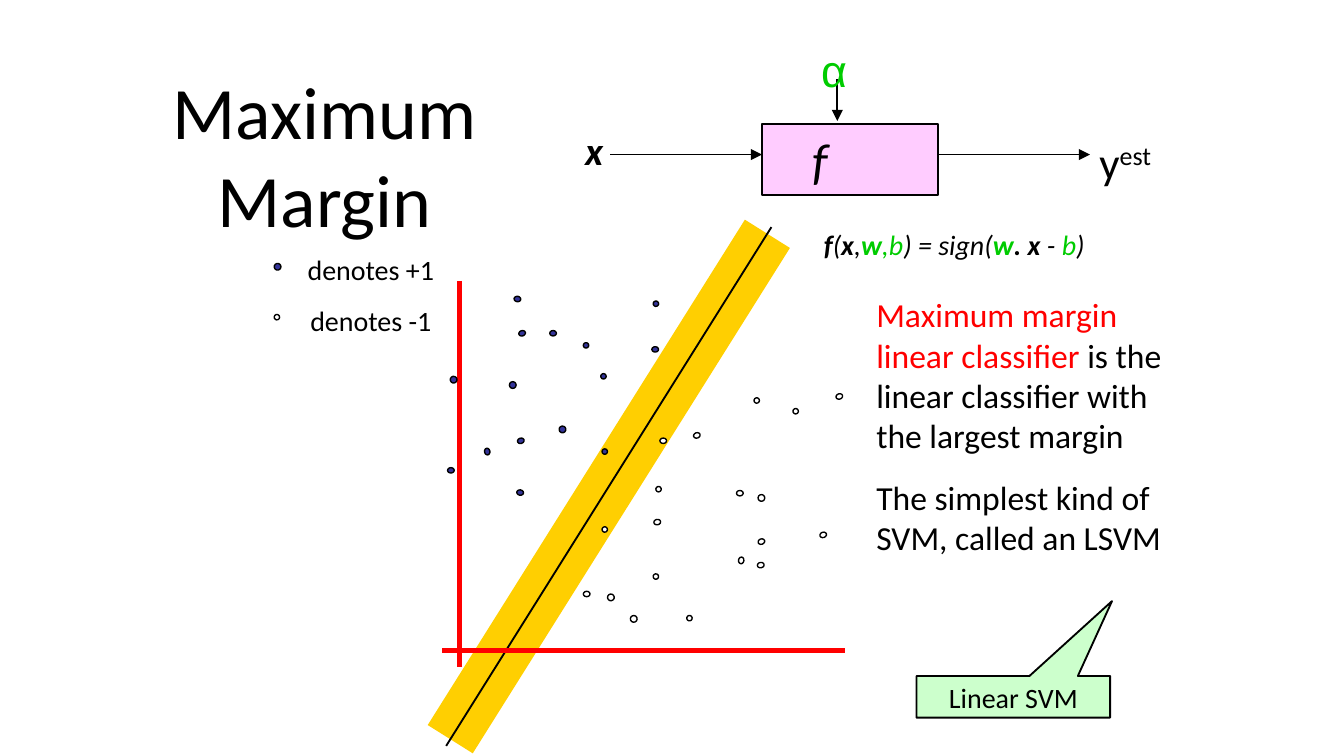
"""Build the maximum margin classifier slide."""
import pptx
import pptx.dml.color
import pptx.enum.shapes
import pptx.enum.text
import pptx.oxml
import pptx.oxml.ns
import pptx.util

Inches = pptx.util.Inches
Pt = pptx.util.Pt
SHAPE = pptx.enum.shapes.MSO_SHAPE
ALIGN = pptx.enum.text.PP_ALIGN
ANCHOR = pptx.enum.text.MSO_ANCHOR
BLACK, WHITE, RED, GREEN, NAVY = "000000", "FFFFFF", "FF0000", "00CC00", "333399"


def paint(fmt, color, width=None):
    if width is None:
        fmt.solid()
        fmt.fore_color.rgb = pptx.dml.color.RGBColor.from_string(color)
    else:
        paint(fmt.fill, color)
        fmt.width = Pt(width)


def write(p, text, size=15, color=BLACK, font="Calibri", bold=False, italic=False, baseline=None):
    r = p.add_run()
    r.text = text
    r.font.size, r.font.name = Pt(size), font
    r.font.bold, r.font.italic = bold, italic
    paint(r.font.fill, color)
    if baseline:
        r.font._element.set("baseline", str(baseline))


prs = pptx.Presentation()
prs.slide_width = Inches(10)
prs.slide_height = Inches(10 * 9 / 16)
slide = prs.slides.add_slide(prs.slide_layouts[6])

lines = [
    (3.35, 5.5, 5.71, 1.74, "FFCF01", 28.5, False),
    (3.32, 5.55, 5.74, 1.69, BLACK, 1, False),
    (4.54, 1.15, 5.67, 1.15, BLACK, 1, True),
    (6.23, 0.59, 6.23, 0.9, BLACK, 1, True),
    (6.98, 1.15, 8.11, 1.15, BLACK, 1, True),
    (3.42, 2.09, 3.42, 4.96, RED, 3, False),
    (3.29, 4.84, 6.29, 4.84, RED, 3, False),
]
for x1, y1, x2, y2, color, width, arrow in lines:
    s = slide.shapes.add_connector(
        pptx.enum.shapes.MSO_CONNECTOR.STRAIGHT, Inches(x1), Inches(y1), Inches(x2), Inches(y2))
    paint(s.line, color, width)
    if arrow:
        tail = pptx.oxml.parse_xml(f'<a:tailEnd {pptx.oxml.ns.nsdecls("a")} type="triangle"/>')
        s.line._get_or_add_ln().append(tail)
    s._element.spPr.append(pptx.oxml.parse_xml(f'<a:effectLst {pptx.oxml.ns.nsdecls("a")}/>'))

dots = {
    NAVY: [
        (2.04, 1.96, 0.05, 0.05, 80), (3.33, 3.48, 0.05, 0.04, 0), (4.85, 2.58, 0.05, 0.04, 0),
        (4.09, 2.46, 0.05, 0.04, 0), (4.48, 3.34, 0.04, 0.04, 0), (3.79, 2.84, 0.05, 0.05, 0),
        (3.86, 2.46, 0.05, 0.04, 341), (3.85, 3.26, 0.05, 0.04, 341), (4.47, 2.78, 0.04, 0.04, 98),
        (3.85, 3.64, 0.04, 0.05, 98), (4.86, 2.24, 0.04, 0.04, 98), (3.83, 2.2, 0.04, 0.05, 98),
        (4.16, 3.17, 0.05, 0.05, 80), (3.6, 3.34, 0.05, 0.04, 80), (4.34, 2.55, 0.04, 0.04, 80),
        (3.35, 2.8, 0.05, 0.05, 80),
    ],
    WHITE: [
        (2.04, 2.34, 0.04, 0.04, 98), (4.34, 4.4, 0.05, 0.04, 0), (4.91, 3.26, 0.05, 0.04, 0),
        (5.48, 3.65, 0.05, 0.04, 0), (4.48, 3.92, 0.04, 0.04, 341), (6.22, 2.93, 0.05, 0.04, 341),
        (5.64, 4.01, 0.05, 0.04, 341), (5.16, 3.22, 0.05, 0.04, 341), (6.1, 3.96, 0.05, 0.04, 341),
        (4.69, 4.58, 0.05, 0.05, 98), (5.64, 3.68, 0.05, 0.05, 98), (4.88, 3.62, 0.04, 0.04, 98),
        (5.9, 3.04, 0.04, 0.04, 98), (5.61, 2.96, 0.04, 0.04, 98), (5.49, 4.15, 0.05, 0.04, 98),
        (5.11, 4.58, 0.04, 0.04, 80), (4.86, 4.27, 0.04, 0.04, 80), (4.87, 3.86, 0.04, 0.05, 80),
        (4.52, 4.42, 0.05, 0.05, 80), (5.64, 4.18, 0.04, 0.05, 80),
    ],
}
for color, places in dots.items():
    for x, y, w, h, angle in places:
        s = slide.shapes.add_shape(SHAPE.OVAL, Inches(x), Inches(y), Inches(w), Inches(h))
        s.shadow.inherit = False
        s.rotation = angle
        paint(s.fill, color)
        paint(s.line, BLACK, 0.75)

title = slide.shapes.add_textbox(Inches(0.51), Inches(0.83), Inches(3.81), Inches(0.63))
machine = slide.shapes.add_shape(SHAPE.RECTANGLE, Inches(5.67), Inches(0.92), Inches(1.31), Inches(0.53))
callout = slide.shapes.add_shape(
    SHAPE.RECTANGULAR_CALLOUT, Inches(6.82), Inches(5.03), Inches(1.44), Inches(0.31))
callout.adjustments[0], callout.adjustments[1] = 0.51, -2.3
for s, color in ((machine, "FFCCFF"), (callout, "CCFFCC")):
    s.shadow.inherit = False
    paint(s.fill, color)
    paint(s.line, BLACK, 1)

x_label = slide.shapes.add_textbox(Inches(4.17), Inches(0.9), Inches(0.5), Inches(0.43))
alpha = slide.shapes.add_textbox(Inches(6.04), Inches(0.28), Inches(0.31), Inches(0.48))
y_label = slide.shapes.add_textbox(Inches(8.11), Inches(0.96), Inches(0.69), Inches(0.48))
legend = slide.shapes.add_textbox(Inches(1.98), Inches(1.84), Inches(1.56), Inches(0.71))
formula = slide.shapes.add_textbox(Inches(5.79), Inches(1.65), Inches(2.62), Inches(0.33))
notes = slide.shapes.add_textbox(Inches(6.45), Inches(2.15), Inches(2.35), Inches(2.05))

strong, slanted = dict(bold=True, italic=True), dict(italic=True)
texts = [
    (title, ALIGN.CENTER, 0, [[("Maximum Margin", dict(size=39.6))]]),
    (machine, ALIGN.CENTER, 0, [[("f", dict(size=27, italic=True))]]),
    (x_label, ALIGN.CENTER, 0, [[("x", dict(size=21, **strong))]]),
    (alpha, ALIGN.CENTER, 0, [[("α", dict(size=24, color=GREEN, font="Arial"))]]),
    (y_label, ALIGN.LEFT, 0, [[("y", dict(size=24)), ("est", dict(size=24, baseline=30000))]]),
    (legend, ALIGN.CENTER, 9.4, [[("denotes +1", {})], [("denotes -1", {})]]),
    (formula, ALIGN.CENTER, 0, [[
        ("f", strong), ("(", slanted), ("x", strong), (",", slanted),
        ("w", dict(color=GREEN, **strong)), (",b", dict(color=GREEN, **slanted)),
        (") = sign(", slanted), ("w", dict(color=GREEN, **strong)), (". x ", strong),
        ("- ", slanted), ("b", dict(color=GREEN, **slanted)), (")", slanted)]]),
    (notes, ALIGN.LEFT, 11.2, [
        [("Maximum margin linear classifier", dict(size=18, color=RED)),
         (" is the linear classifier with the largest margin", dict(size=18))],
        [("The simplest kind of SVM, called an LSVM", dict(size=18))]]),
    (callout, ALIGN.CENTER, 0, [[("Linear SVM", {})]]),
]
for s, align, gap, paragraphs in texts:
    tf = s.text_frame
    tf.word_wrap = True
    tf.margin_left = tf.margin_right = Inches(0.07)
    tf.margin_top = tf.margin_bottom = Inches(0.04)
    tf.vertical_anchor = ANCHOR.MIDDLE if s in (title, machine, callout) else ANCHOR.TOP
    for i, runs in enumerate(paragraphs):
        p = tf.add_paragraph() if i else tf.paragraphs[0]
        p.alignment = align
        if i:
            p.space_before = Pt(gap)
        for text, style in runs:
            write(p, text, **style)
machine.text_frame.margin_right = Inches(0.52)

prs.save("out.pptx")
